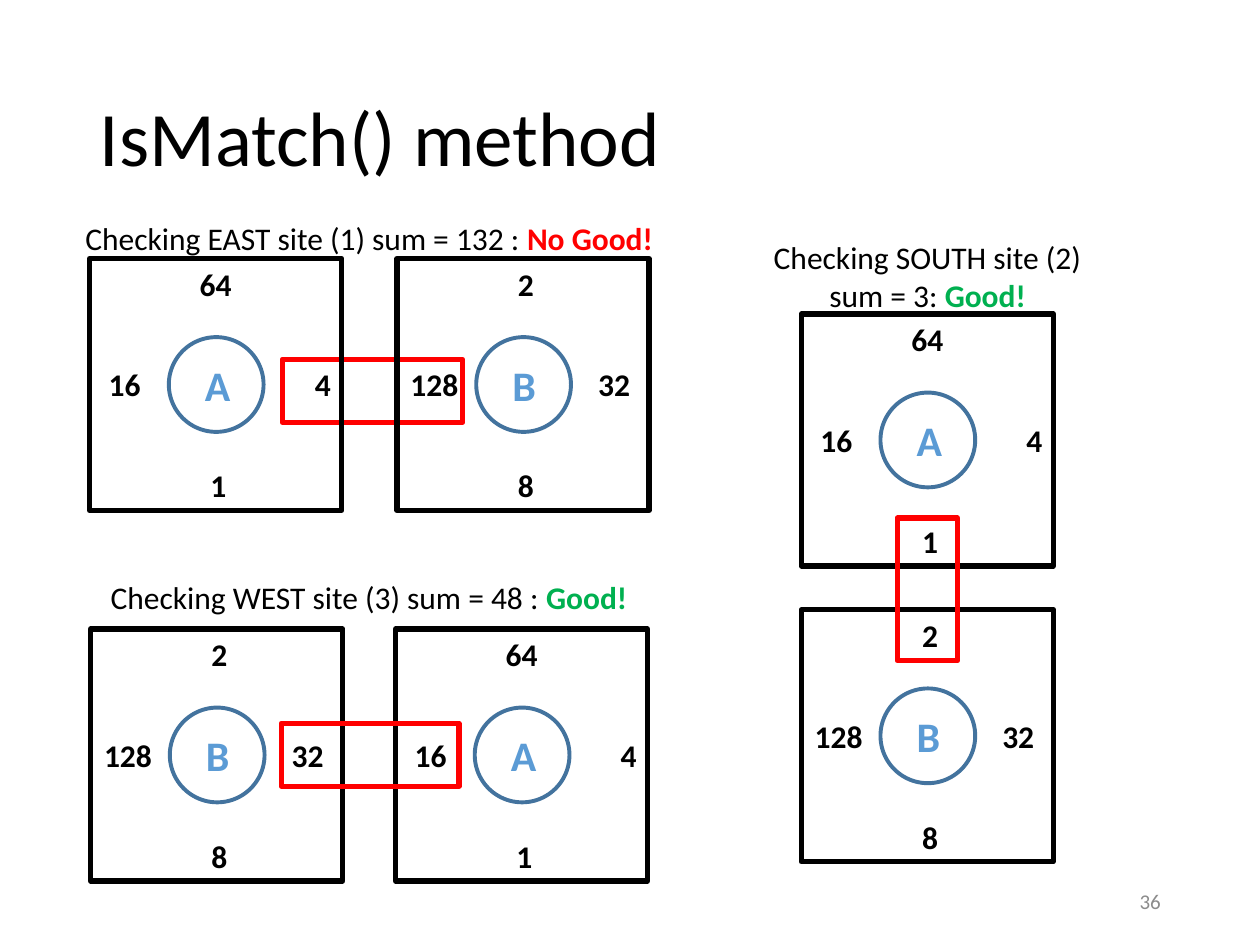
from pptx import Presentation
from pptx.dml.color import RGBColor
from pptx.enum.shapes import MSO_SHAPE as Shape
from pptx.enum.text import MSO_ANCHOR as Anchor, PP_ALIGN as Align
from pptx.util import Inches, Pt

# Grid of 25 columns on a 10 inch slide; a tile spans 5 by 5 cells.
CELL = 0.4
TILE = 5
BLACK, RED, GREEN = "000000", "FF0000", "00B050"
RING, NAME, GREY = "43739E", "5B9BD5", "8C8C8C"
WIDTHS = {1: 0.7, 2: 1.23, 3: 1.48}  # label width by number of digits
SIDES = {"A": (64, 4, 1, 16), "B": (2, 32, 8, 128)}  # north, east, south, west


def color(code):
    return RGBColor.from_string(code)


def grid(*cells):
    return [Inches(cell * CELL) for cell in cells]


def style(run, size, code=BLACK, bold=False):
    font = run.font
    font.name, font.size, font.bold = "Calibri", Pt(size), bold
    font.color.rgb = color(code)


def outline(slide, kind, box, code, width):
    shape = slide.shapes.add_shape(kind, *grid(*box))
    shape.shadow.inherit = False
    shape.fill.background()
    shape.line.color.rgb = color(code)
    shape.line.width = Pt(width)


def label(slide, box, text, size=18, code=BLACK, bold=True, align=Align.CENTER):
    frame = slide.shapes.add_textbox(*grid(*box)).text_frame
    frame.word_wrap = False
    frame.text = text
    para = frame.paragraphs[0]
    para.alignment = align
    style(para.runs[0], size, code, bold)
    return frame


def caption(slide, box, lines, verdict, code):
    """Write centred lines and end the last one with a bold verdict."""
    frame = label(slide, box, lines[0], bold=False)
    frame.word_wrap = True
    for line in lines[1:]:
        para = frame.add_paragraph()
        para.text = line
        para.alignment = Align.CENTER
        style(para.runs[0], 18)
    run = frame.paragraphs[-1].add_run()
    run.text = verdict
    style(run, 18, code, True)


def tile(slide, left, top, name):
    outline(slide, Shape.RECTANGLE, (left, top, TILE, TILE), BLACK, 3)
    outline(slide, Shape.OVAL, (left + 1.57, top + 1.56, 1.88, 1.88), RING, 2.25)
    label(slide, (left + 2.04, top + 1.88, 0.92, 1.25), name, 24, NAME)
    north, east, south, west = map(str, SIDES[name])
    wide = [WIDTHS[len(side)] for side in (north, east, south, west)]
    spots = (
        (north, (TILE - wide[0]) / 2, 0),
        (east, 4.92 - wide[1], 2),
        (south, (TILE - wide[2]) / 2, 4),
        (west, 0.08 if len(west) < 3 else 0, 2),
    )
    for text, x, y in spots:
        label(slide, (left + x, top + y, WIDTHS[len(text)], 1), text)


def heading(slide, text):
    title = slide.shapes.title
    title.left, title.top, title.width, title.height = grid(1.73, 1, 21.55, 3.63)
    frame = title.text_frame
    frame.text = text
    frame.vertical_anchor = Anchor.MIDDLE
    para = frame.paragraphs[0]
    para.alignment = Align.LEFT
    para.line_spacing = 0.9
    style(para.runs[0], 44)


def main():
    deck = Presentation()
    deck.slide_width, deck.slide_height = Inches(10), Inches(7.5)
    slide = deck.slides.add_slide(deck.slide_layouts[5])
    heading(slide, "IsMatch() method")

    # Each check: link box, then tiles, then caption
    outline(slide, Shape.RECTANGLE, (5.6, 7.13, 3.58, 1.25), RED, 3)
    tile(slide, 7.88, 5.13, "B")
    tile(slide, 1.78, 5.13, "A")
    caption(slide, (1.4, 4.23, 11.85, 1),
            ["Checking EAST site (1) sum = 132 : "], "No Good!", RED)

    tile(slide, 7.85, 12.48, "A")
    tile(slide, 1.8, 12.48, "B")
    outline(slide, Shape.RECTANGLE, (5.58, 14.35, 3.53, 1.25), RED, 3)
    caption(slide, (1.88, 11.35, 10.88, 1),
            ["Checking WEST site (3) sum = 48 : "], "Good!", GREEN)

    tile(slide, 15.9, 12.1, "B")
    tile(slide, 15.9, 6.23, "A")
    outline(slide, Shape.RECTANGLE, (17.8, 10.28, 1.2, 2.83), RED, 3)
    caption(slide, (15.03, 4.6, 6.75, 1.78),
            ["Checking SOUTH site (2)", "sum = 3: "], "Good!", GREEN)

    number = label(slide, (17.65, 17.38, 5.63, 1), "36", 12, GREY, False, Align.RIGHT)
    number.word_wrap = True
    number.vertical_anchor = Anchor.MIDDLE
    deck.save("out.pptx")


if __name__ == "__main__":
    main()
